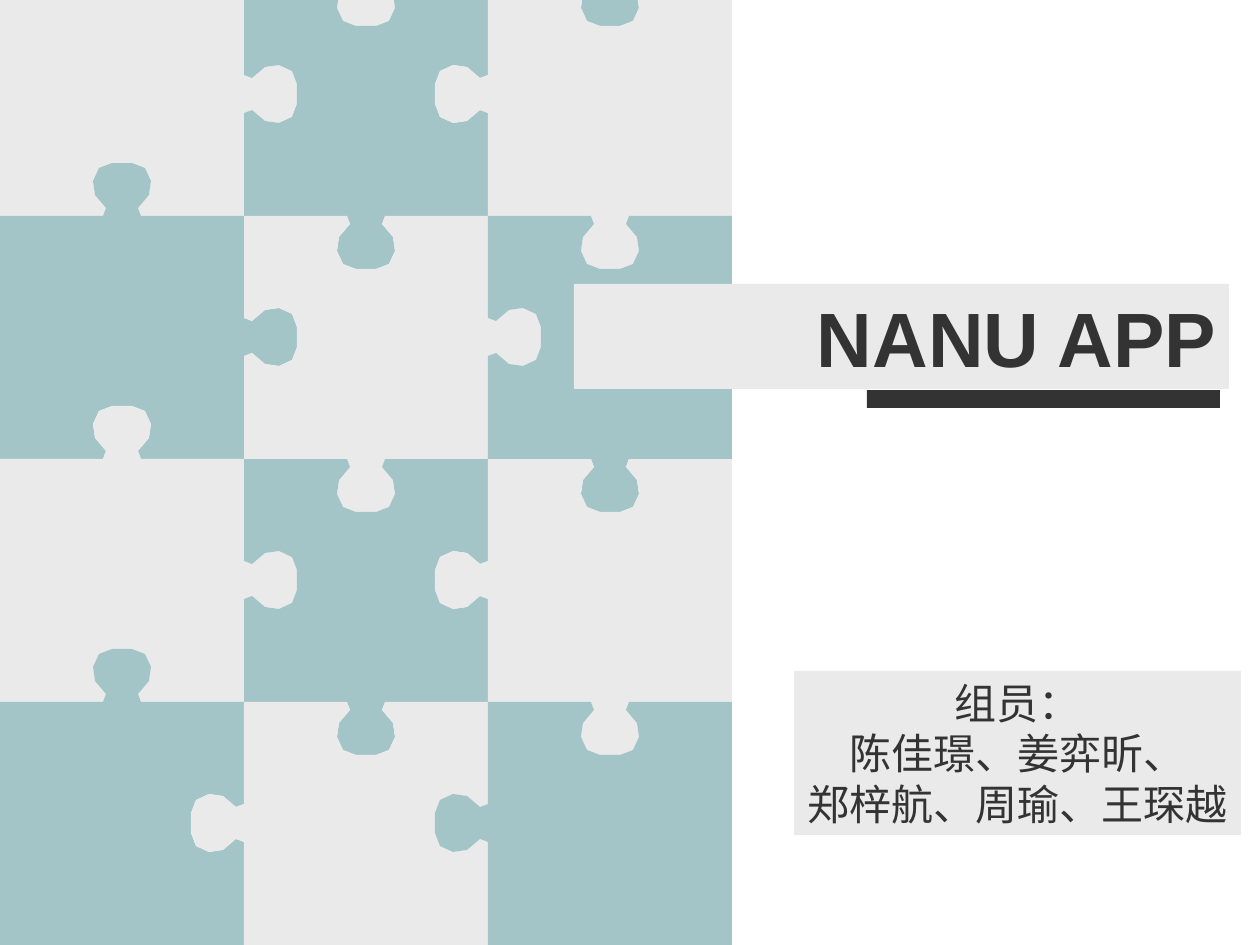
"""Build the NANU APP title slide with its jigsaw of teal and grey pieces."""
from pptx import Presentation, util as u
from pptx.dml.color import RGBColor
from pptx.enum import shapes, text

PX = u.Inches(1) / 126
TEAL = RGBColor(0xA3, 0xC5, 0xC7)
GREY = RGBColor(0xEA, 0xEA, 0xEA)
DARK = RGBColor(0x33, 0x33, 0x33)

WIDE, HIGH, TOP = 244, 243, -27
HALF = [(-19, 0), (-16, 8), (-27, 21), (-29, 35), (-23, 48), (-10, 53)]
KNOB = HALF + [(-a, b) for a, b in reversed(HALF)]
DOWN = [-1, 1, 1]
RIGHT = {-1: [0, 0, 0, 0], 0: [0, 1, -1, 0], 1: [0, 1, 1, 0],
         2: [0, 1, -1, 0], 3: [0, -1, -1, 0]}


def edge(x, y, sign, flat):
    knob = KNOB if sign else []
    if flat:
        mid = [(x + WIDE // 2 + a, y + sign * b) for a, b in knob]
        return [(x, y)] + mid + [(x + WIDE, y)]
    mid = [(x + sign * b, y + HIGH // 2 + a) for a, b in knob]
    return [(x, y)] + mid + [(x, y + HIGH)]


def paint(shape, color):
    shape.shadow.inherit = False
    shape.fill.solid()
    shape.fill.fore_color.rgb = color
    shape.line.fill.background()


deck = Presentation()
deck.slide_width, deck.slide_height = u.Inches(10), u.Inches(7.5)
slide = deck.slides.add_slide(deck.slide_layouts[6])

for row in range(-1, 4):
    for col in range(1 if row < 0 else 0, 3):
        x, y = col * WIDE, TOP + row * HIGH
        cap = DOWN[col] if row > 0 or (row == 0 and col) else 0
        roof = edge(x, y, cap, True)
        east = edge(x + WIDE, y, RIGHT[row][col + 1], False)
        base = edge(x, y + HIGH, DOWN[col] if row < 3 else 0, True)
        west = edge(x, y, RIGHT[row][col], False)
        ring = roof + east[1:] + base[-2::-1] + west[-2:0:-1]
        path = slide.shapes.build_freeform(*ring[0], scale=PX)
        path.add_line_segments(ring[1:], close=True)
        paint(path.convert_to_shape(), TEAL if (row + col) % 2 else GREY)

panels = [
    ((574, 284, 655, 105), GREY, "NANU APP", 44, True, text.PP_ALIGN.RIGHT),
    ((867, 390, 353, 18), DARK, "", 0, False, None),
    ((794, 671, 447, 164), GREY, "组员：\n陈佳璟、姜弈昕、\n郑梓航、周瑜、王琛越",
     24, False, text.PP_ALIGN.CENTER),
]
for box, color, words, size, bold, align in panels:
    panel = slide.shapes.add_shape(
        shapes.MSO_SHAPE.RECTANGLE, *[round(n * PX) for n in box])
    paint(panel, color)
    if not words:
        continue
    frame = panel.text_frame
    frame.word_wrap = True
    frame.vertical_anchor = text.MSO_ANCHOR.MIDDLE
    frame.text = words
    for para in frame.paragraphs:
        para.alignment = align
        for run in para.runs:
            run.font.name = "Arial"
            run.font.size = u.Pt(size)
            run.font.bold = bold
            run.font.color.rgb = DARK

deck.save("out.pptx")
